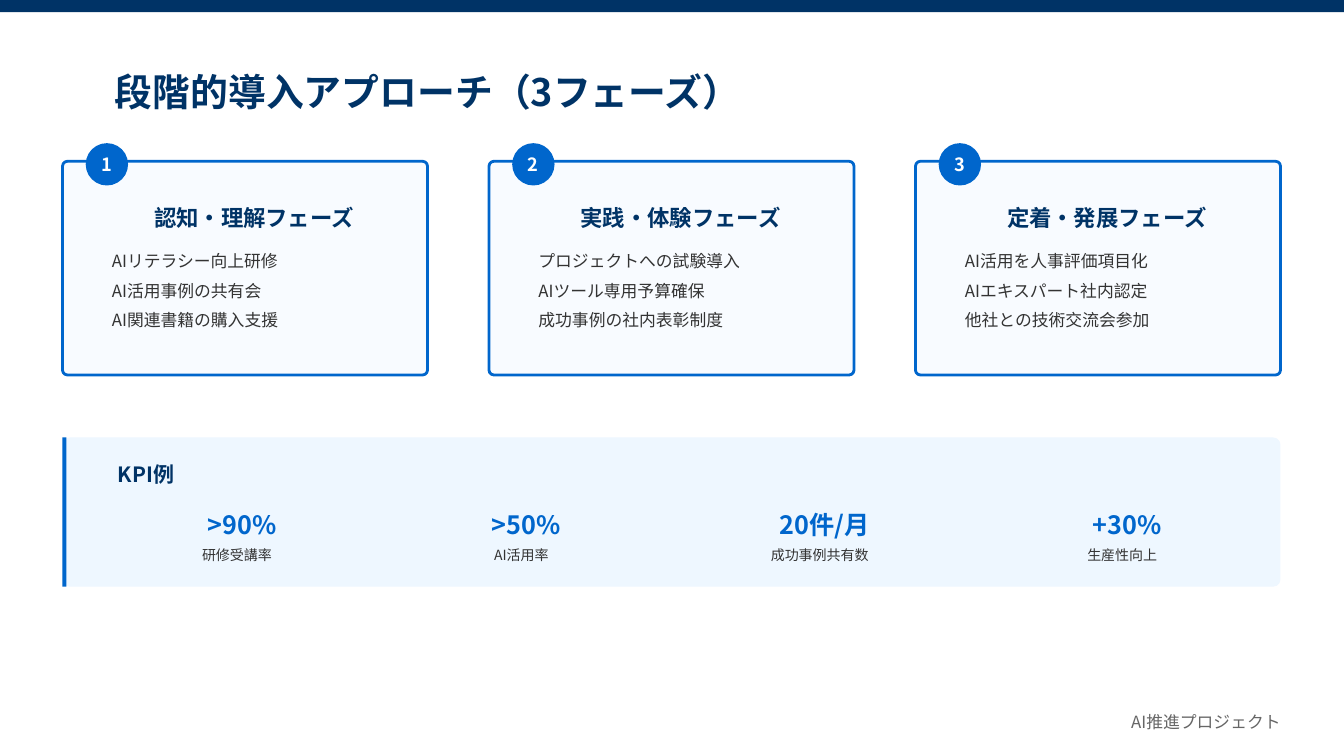
import pptx
import pptx.dml.color
import pptx.enum.shapes
import pptx.enum.text
import pptx.oxml.ns
import pptx.util
from lxml import etree

Inches = pptx.util.Inches
Shape = pptx.enum.shapes.MSO_SHAPE
Align = pptx.enum.text.PP_ALIGN
Anchor = pptx.enum.text.MSO_ANCHOR
qn = pptx.oxml.ns.qn

FONT = "Noto Sans CJK JP"
NAVY = "003366"
BLUE = "0066CC"
DARK = "333333"
MARGIN = 0.62
CARD_PITCH = 4.23

presentation = pptx.Presentation()
presentation.slide_width = Inches(13.33)
presentation.slide_height = Inches(7.5)
slide = presentation.slides.add_slide(presentation.slide_layouts.get_by_name("Comparison"))


def paint(fill, color):
    fill.solid()
    fill.fore_color.rgb = pptx.dml.color.RGBColor.from_string(color)


def write(text, left, top, width, height, shape=None, size=12, color=DARK,
          bold=False, align=Align.LEFT, anchor=Anchor.MIDDLE, gap=0):
    if shape is None:
        shape = slide.shapes.add_textbox(0, 0, 0, 0)
    shape.left, shape.top = Inches(left), Inches(top)
    shape.width, shape.height = Inches(width), Inches(height)
    frame = shape.text_frame
    frame.margin_left = frame.margin_top = frame.margin_right = frame.margin_bottom = 0
    frame.auto_size = pptx.enum.text.MSO_AUTO_SIZE.NONE
    frame.word_wrap = True
    frame.vertical_anchor = anchor
    frame.text = text
    for paragraph in frame.paragraphs:
        paragraph.alignment = align
        paragraph.line_spacing = 1.0
        paragraph.space_before = pptx.util.Pt(0)
        paragraph.space_after = pptx.util.Pt(gap)
        properties = paragraph._p.get_or_add_pPr()
        properties.set("marL", "0")
        properties.set("indent", "0")
        etree.SubElement(properties, qn("a:buNone"))
        font = paragraph.runs[0].font
        font.size = pptx.util.Pt(size)
        font.bold = bold
        font.name = FONT
        paint(font.fill, color)
        etree.SubElement(paragraph.runs[0]._r.get_or_add_rPr(), qn("a:ea"), typeface=FONT)


title, first_list, second_list, third_list, spare = list(slide.placeholders)[:5]
spare.element.getparent().remove(spare.element)
for placeholder in list(slide.placeholders)[4:]:
    placeholder.element.getparent().remove(placeholder.element)

write("段階的導入アプローチ（3フェーズ）", 1.14, 0.64, 7.5, 0.54, shape=title,
      size=27, color=NAVY, bold=True)

phases = [
    (first_list, "認知・理解フェーズ",
     ["AIリテラシー向上研修", "AI活用事例の共有会", "AI関連書籍の購入支援"]),
    (second_list, "実践・体験フェーズ",
     ["プロジェクトへの試験導入", "AIツール専用予算確保", "成功事例の社内表彰制度"]),
    (third_list, "定着・発展フェーズ",
     ["AI活用を人事評価項目化", "AIエキスパート社内認定", "他社との技術交流会参加"]),
]
card_lefts = [MARGIN + CARD_PITCH * index for index in range(len(phases))]

blocks = [
    (Shape.RECTANGLE, 0, 0, 13.33, 0.12, NAVY, None, None),
    (Shape.ROUNDED_RECTANGLE, MARGIN, 4.34, 12.08, 1.48, "EEF7FF", None, 0.048),
    (Shape.RECTANGLE, MARGIN, 4.34, 0.04, 1.48, BLUE, None, None),
]
for left in card_lefts:
    blocks.append((Shape.ROUNDED_RECTANGLE, left, 1.6, 3.62, 2.12, "F8FBFF", BLUE, 0.023))
    blocks.append((Shape.OVAL, left + 0.23, 1.42, 0.42, 0.42, BLUE, None, None))

badges = []
for kind, left, top, width, height, fill, line, rounding in blocks:
    shape = slide.shapes.add_shape(kind, Inches(left), Inches(top), Inches(width), Inches(height))
    shape.shadow.inherit = False
    paint(shape.fill, fill)
    if line:
        paint(shape.line.fill, line)
        shape.line.width = pptx.util.Pt(2)
    else:
        shape.line.fill.background()
    if rounding:
        shape.adjustments[0] = rounding
    if kind == Shape.OVAL:
        badges.append(shape)

for number, (left, badge, (body, heading, items)) in enumerate(zip(card_lefts, badges, phases), 1):
    write(str(number), left + 0.23, 1.42, 0.42, 0.42, shape=badge,
          size=13, color="FFFFFF", bold=True, align=Align.CENTER)
    write(heading, left + 0.4, 1.99, 3, 0.33, size=16, color=NAVY, bold=True, align=Align.CENTER)
    body.element.getparent().append(body.element)
    write("\n".join(items), left + 0.49, 2.49, 3, 1, shape=body, anchor=Anchor.TOP, gap=6.7)

write("KPI例", 1.17, 4.55, 1.5, 0.3, size=15, color=NAVY, bold=True)

indicators = [
    (2.4, ">90%", "研修受講率"),
    (5.22, ">50%", "AI活用率"),
    (8.18, "20件/月", "成功事例共有数"),
    (11.18, "+30%", "生産性向上"),
]
for center, value, label in indicators:
    write(value, center - 1, 5.02, 2, 0.36, size=18, color=BLUE, bold=True, align=Align.CENTER)
    write(label, center - 1.05, 5.4, 2, 0.21, size=10, align=Align.CENTER)

write("AI推進プロジェクト", 11.22, 7.04, 1.9, 0.25, color="666666")

presentation.save("out.pptx")
